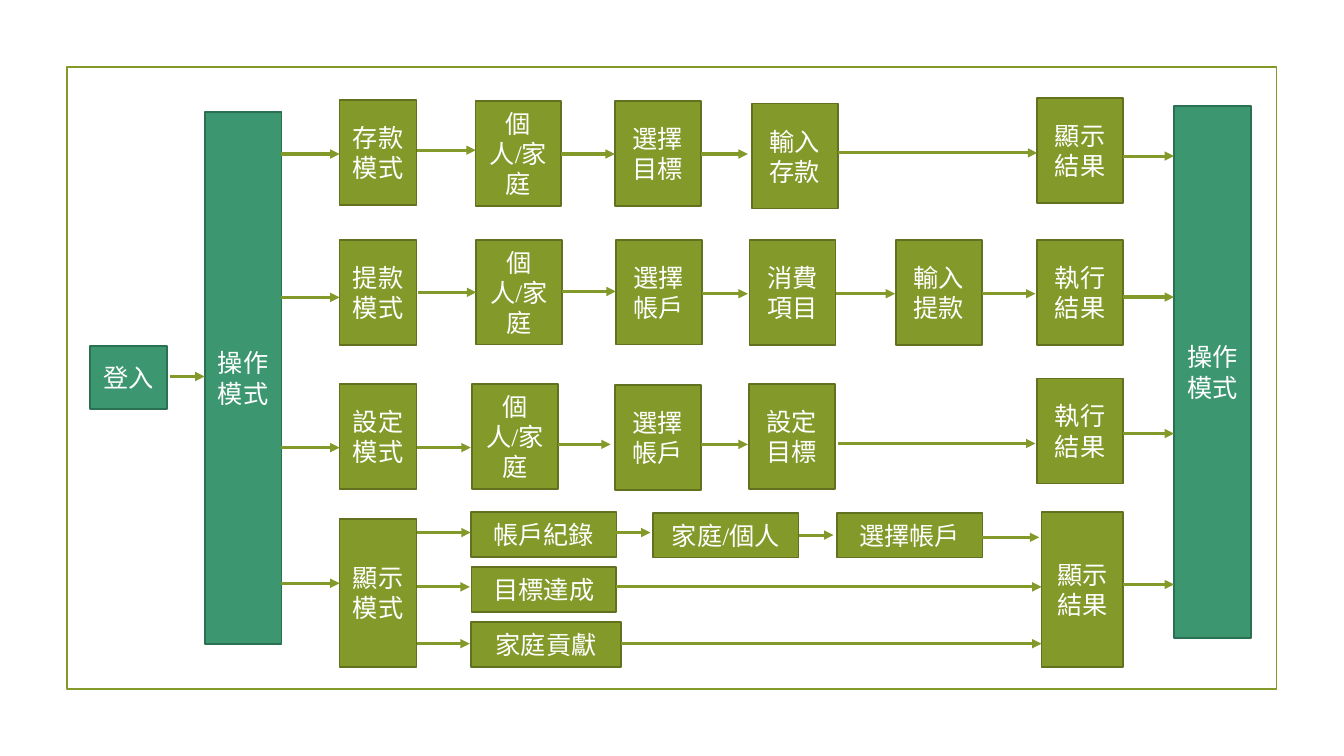
from lxml import etree
from pptx import Presentation
from pptx.dml.color import RGBColor
from pptx.enum.shapes import MSO_CONNECTOR, MSO_SHAPE
from pptx.enum.text import MSO_ANCHOR, PP_ALIGN
from pptx.oxml.ns import qn
from pptx.util import Pt

RECTANGLE = MSO_SHAPE.RECTANGLE
STRAIGHT = MSO_CONNECTOR.STRAIGHT
MIDDLE = MSO_ANCHOR.MIDDLE
CENTER = PP_ALIGN.CENTER

COLORS = {
    "olive": "83992A",
    "olive_edge": "61711F",
    "teal": "3C9770",
    "teal_edge": "2C7053",
    "white": "FFFFFF",
}
FONT = "Times New Roman"
MODE_LEFT, MODE_WIDTH = 242.6, 55
STEP_WIDTH, STEP_HEIGHT = 61.4, 75
BAR_HEIGHT, LABEL_HEIGHT = 380.4, 32
LEFT_BAR, RIGHT_BAR = 146.2, 838.6
RESULT_RIGHT = 802.3

MODES = [
    ("存款模式", 71.6, STEP_HEIGHT),
    ("提款模式", 171.3, STEP_HEIGHT),
    ("設定模式", 274.1, STEP_HEIGHT),
    ("顯示模式", 370.5, 105.8),
]

STEPS = [
    ("個人/家庭", 339.6, 72),
    ("選擇目標", 439.2, 72),
    ("輸入存款", 537.1, 74),
    ("顯示結果", 740.9, 69.8),
    ("個人/家庭", 340, 171.2),
    ("選擇帳戶", 439.9, 171.2),
    ("消費項目", 535.4, 171.3),
    ("輸入提款", 640, 171.3),
    ("執行結果", 740.9, 171.3),
    ("個人/家庭", 337, 274.2),
    ("選擇帳戶", 439.2, 275),
    ("設定目標", 535, 274.2),
    ("執行結果", 740.9, 270.4),
]

LABELS = [
    ("帳戶紀錄", 336.4, 365.8, 104),
    ("目標達成", 336.8, 405, 103.4),
    ("家庭貢獻", 336.4, 444.4, 107.3),
    ("家庭/個人", 466.4, 366.2, 104),
    ("選擇帳戶", 597.8, 366.2, 104),
]

ARROWS = {
    110: [(201, 242.6), (401, 439.2), (500.6, 534.2)],
    107.3: [(297.8, 339.8)],
    109.2: [(598.5, 740.9)],
    212.4: [(201, 242.6)],
    208.8: [(298.6, 340.2)],
    208.2: [(401.4, 439.9)],
    209.8: [(501.3, 534.2), (597.2, 639.4), (701.4, 739.6)],
    319.7: [(201, 242.6), (297.8, 336.2)],
    317.4: [(398.4, 436.2), (500.6, 534.2)],
    316.8: [(598.8, 739.6)],
    416.6: [(201, 242.6)],
    380.4: [(297.8, 336.2), (439.4, 464.6)],
    382.2: [(570.4, 595.4)],
    383.8: [(701.8, 742.3)],
    419.2: [(297.6, 335.6), (440, 744)],
    459.8: [(297.6, 335.6), (443.7, 744)],
    268.9: [(121.4, 146.2)],
}
RETURN_HEIGHTS = [111.5, 212.2, 309.7, 417.5]


def color(name):
    return RGBColor.from_string(COLORS[name])


def add_frame(slide):
    frame = slide.shapes.add_shape(RECTANGLE, Pt(47.8), Pt(48), Pt(864), Pt(444))
    frame.shadow.inherit = False
    frame.fill.background()
    frame.line.color.rgb = color("olive")
    frame.line.width = Pt(1.25)


def add_box(slide, text, left, top, width, height, tone="olive"):
    box = slide.shapes.add_shape(RECTANGLE, Pt(left), Pt(top), Pt(width), Pt(height))
    box.shadow.inherit = False
    box.fill.solid()
    box.fill.fore_color.rgb = color(tone)
    box.line.color.rgb = color(tone + "_edge")
    box.line.width = Pt(1.25)
    frame = box.text_frame
    frame.word_wrap = True
    frame.vertical_anchor = MIDDLE
    frame.text = text
    paragraph = frame.paragraphs[0]
    paragraph.alignment = CENTER
    paragraph.font.name = FONT
    paragraph.font.size = Pt(18)
    paragraph.font.color.rgb = color("white")


def add_arrow(slide, start, end, height):
    arrow = slide.shapes.add_connector(STRAIGHT, Pt(start), Pt(height), Pt(end), Pt(height))
    arrow.line.color.rgb = color("olive")
    arrow.line.width = Pt(2.25)
    etree.SubElement(arrow.line._get_or_add_ln(), qn("a:tailEnd"), type="triangle")
    etree.SubElement(arrow._element.spPr, qn("a:effectLst"))


def main():
    presentation = Presentation()
    presentation.slide_width = Pt(960)
    presentation.slide_height = Pt(540)
    slide = presentation.slides.add_slide(presentation.slide_layouts[6])

    add_frame(slide)
    add_box(slide, "登入", 64.5, 247.4, 55, 44.8, "teal")
    add_box(slide, "操作模式", LEFT_BAR, 79.8, MODE_WIDTH, BAR_HEIGHT, "teal")
    add_box(slide, "操作模式", RIGHT_BAR, 75.5, MODE_WIDTH, BAR_HEIGHT, "teal")
    for text, top, height in MODES:
        add_box(slide, text, MODE_LEFT, top, MODE_WIDTH, height)
    for text, left, top in STEPS:
        add_box(slide, text, left, top, STEP_WIDTH, STEP_HEIGHT)
    for text, left, top, width in LABELS:
        add_box(slide, text, left, top, width, LABEL_HEIGHT)
    add_box(slide, "顯示結果", 744, 365.8, 58.2, 110.6)

    for height, spans in ARROWS.items():
        for start, end in spans:
            add_arrow(slide, start, end, height)
    for height in RETURN_HEIGHTS:
        add_arrow(slide, RESULT_RIGHT, RIGHT_BAR, height)

    presentation.save("out.pptx")


if __name__ == "__main__":
    main()
